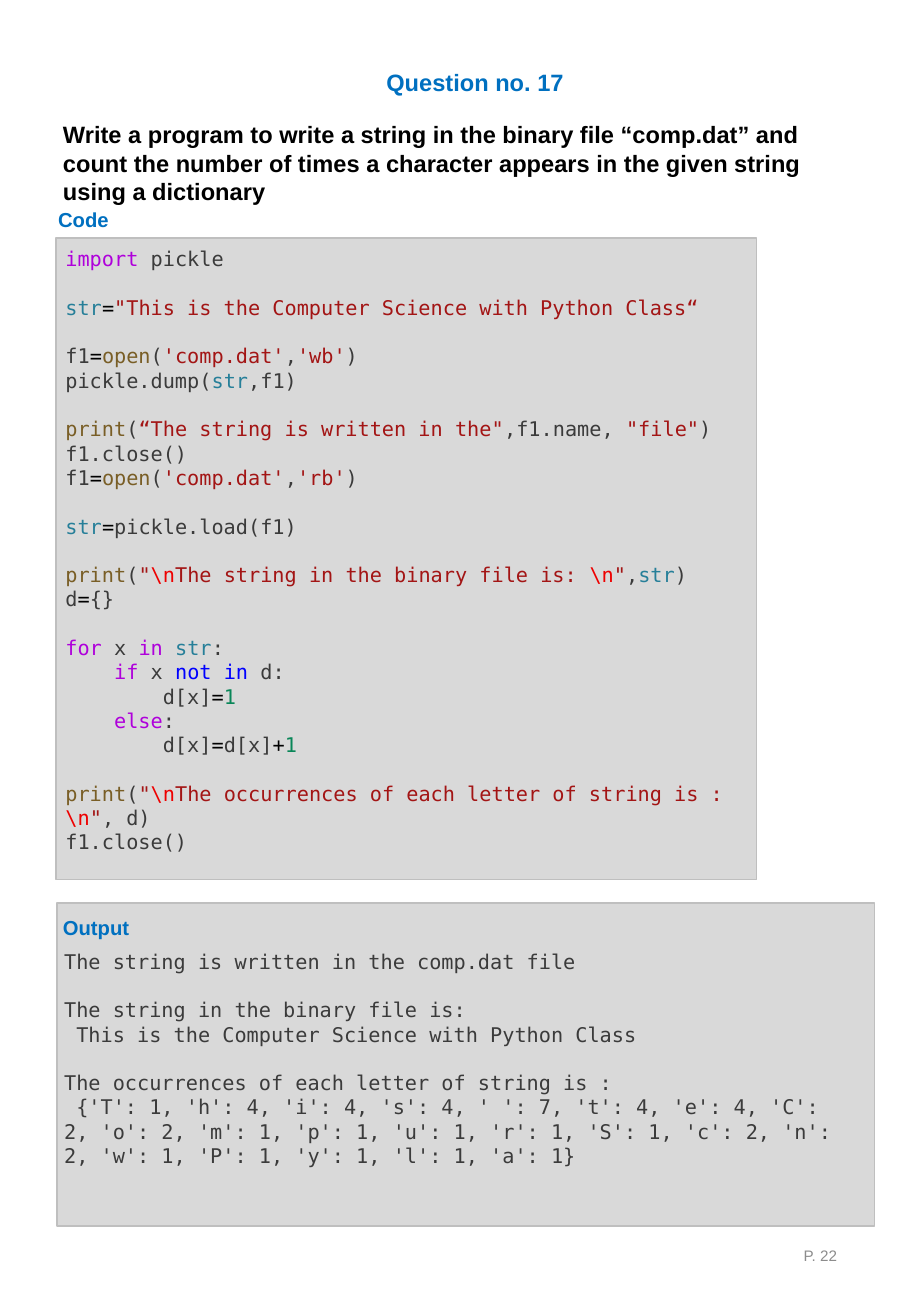
import dataclasses
import typing

import pptx
import pptx.dml.color
import pptx.enum.shapes
import pptx.enum.text
import pptx.util

PAGE_WIDTH = pptx.util.Inches(7.5)
PAGE_HEIGHT = pptx.util.Inches(10.83)
CODE_PITCH = 14.4

BLUE = "0070C0"
BLACK = "000000"
GREY = "8C8C8C"
PLAIN = "3B3B3B"
KEYWORD = "AF00DB"
OPERATOR = "0000FF"
NAME = "267F99"
CALL = "795E26"
STRING = "A31515"
ESCAPE = "EE0000"
NUMBER = "098658"


@dataclasses.dataclass(frozen=True)
class Area:
    left: float
    top: float
    width: float
    height: float

    def place(self) -> tuple[int, int, int, int]:
        return (
            int(PAGE_WIDTH * self.left / 100),
            int(PAGE_HEIGHT * self.top / 100),
            int(PAGE_WIDTH * self.width / 100),
            int(PAGE_HEIGHT * self.height / 100),
        )


@dataclasses.dataclass(frozen=True)
class Label:
    text: str
    area: Area
    size: int
    colour: str
    bold: bool = True


class Span(typing.NamedTuple):
    text: str
    colour: str = PLAIN


@dataclasses.dataclass(frozen=True)
class Line:
    spans: list[Span]
    gap: bool = False


def open_file(mode: str) -> list[Span]:
    return [
        Span("f1"), Span("=", BLACK), Span("open", CALL), Span("("),
        Span("'comp.dat'", STRING), Span(","), Span(mode, STRING), Span(")"),
    ]


def print_message(message: str) -> list[Span]:
    return [
        Span("print", CALL), Span("("), Span('"', STRING), Span("\\n", ESCAPE),
        Span(message, STRING), Span("\\n", ESCAPE), Span('"', STRING),
    ]


PANELS = [Area(6.13, 18.1, 76.93, 48.75), Area(6.27, 68.61, 89.73, 24.56)]

TITLE = Label("Question no. 17", Area(41.07, 4.71, 22.27, 3.14), 14, BLUE)
QUESTION = Label(
    "Write a program to write a string in the binary file “comp.dat” and count "
    "the number of times a character appears in the given string using a dictionary",
    Area(5.6, 8.68, 87.33, 7.48), 14, BLACK,
)
HEADINGS = [
    Label("Code", Area(5.07, 15.33, 23.33, 2.77), 12, BLUE),
    Label("Output", Area(5.6, 69.07, 23.33, 2.77), 12, BLUE),
]
PAGE_NUMBER = Label("P. 22", Area(70.67, 92.71, 22.53, 5.36), 9, GREY, False)

CODE_AREA = Area(5.87, 18.28, 79.07, 45.71)
CODE = [
    Line([Span("import", KEYWORD), Span(" pickle")]),
    Line([
        Span("str", NAME), Span("=", BLACK),
        Span('"This is the Computer Science with Python Class“', STRING),
    ], gap=True),
    Line(open_file("'wb'"), gap=True),
    Line([Span("pickle.dump("), Span("str", NAME), Span(",f1)")]),
    Line([
        Span("print", CALL), Span("("), Span('“The string is written in the"', STRING),
        Span(",f1.name, "), Span('"file"', STRING), Span(")"),
    ], gap=True),
    Line([Span("f1.close()")]),
    Line(open_file("'rb'")),
    Line([Span("str", NAME), Span("=", BLACK), Span("pickle.load(f1)")], gap=True),
    Line(
        print_message("The string in the binary file is: ")
        + [Span(","), Span("str", NAME), Span(")")],
        gap=True,
    ),
    Line([Span("d"), Span("=", BLACK), Span("{}")]),
    Line([
        Span("for", KEYWORD), Span(" x "), Span("in ", KEYWORD),
        Span("str", NAME), Span(":"),
    ], gap=True),
    Line([
        Span("    "), Span("if", KEYWORD), Span(" x "),
        Span("not in", OPERATOR), Span(" d:"),
    ]),
    Line([Span("        d[x]"), Span("=", BLACK), Span("1", NUMBER)]),
    Line([Span("    "), Span("else", KEYWORD), Span(":")]),
    Line([
        Span("        d[x]"), Span("=", BLACK), Span("d[x]"),
        Span("+", BLACK), Span("1", NUMBER),
    ]),
    Line(
        print_message("The occurrences of each letter of string is :") + [Span(", d)")],
        gap=True,
    ),
    Line([Span("f1.close()")]),
]

OUTPUT_AREA = Area(5.73, 71.65, 87.33, 17.73)
OUTPUT = [
    Line([Span("The string is written in the comp.dat file")]),
    Line([Span("The string in the binary file is:")], gap=True),
    Line([Span(" This is the Computer Science with Python Class")]),
    Line([Span("The occurrences of each letter of string is :")], gap=True),
    Line([Span(
        " {'T': 1, 'h': 4, 'i': 4, 's': 4, ' ': 7, 't': 4, 'e': 4, 'C': 2, 'o': 2, "
        "'m': 1, 'p': 1, 'u': 1, 'r': 1, 'S': 1, 'c': 2, 'n': 2, 'w': 1, 'P': 1, "
        "'y': 1, 'l': 1, 'a': 1}"
    )]),
]


def rgb(value: str) -> pptx.dml.color.RGBColor:
    return pptx.dml.color.RGBColor.from_string(value)


def draw_panel(page, area: Area) -> None:
    panel = page.shapes.add_shape(
        pptx.enum.shapes.MSO_SHAPE.RECTANGLE, *area.place()
    )
    panel.shadow.inherit = False
    panel.fill.solid()
    panel.fill.fore_color.rgb = rgb("D9D9D9")
    panel.line.color.rgb = rgb("BFBFBF")
    panel.line.width = pptx.util.Pt(1)


def style(span, face: str, size: int, colour: str, bold: bool = False) -> None:
    span.font.name = face
    span.font.size = pptx.util.Pt(size)
    span.font.bold = bold
    span.font.color.rgb = rgb(colour)


def write_label(box, label: Label, align=pptx.enum.text.PP_ALIGN.LEFT,
                anchor=pptx.enum.text.MSO_ANCHOR.TOP, wrap: bool = True) -> None:
    box.left, box.top, box.width, box.height = label.area.place()
    frame = box.text_frame
    frame.text = label.text
    frame.word_wrap = wrap
    frame.auto_size = pptx.enum.text.MSO_AUTO_SIZE.NONE
    frame.vertical_anchor = anchor
    para = frame.paragraphs[0]
    para.alignment = align
    style(para.runs[0], "Arial", label.size, label.colour, label.bold)


def write_listing(page, area: Area, lines: list[Line]) -> None:
    frame = page.shapes.add_textbox(*area.place()).text_frame
    frame.word_wrap = True
    for index, line in enumerate(lines):
        para = frame.add_paragraph() if index else frame.paragraphs[0]
        para.line_spacing = pptx.util.Pt(CODE_PITCH)
        if line.gap:
            para.space_before = pptx.util.Pt(CODE_PITCH)
        for part in line.spans:
            span = para.add_run()
            span.text = part.text
            style(span, "DejaVu Sans Mono", 12, part.colour)


def main() -> None:
    deck = pptx.Presentation()
    deck.slide_width, deck.slide_height = PAGE_WIDTH, PAGE_HEIGHT
    page = deck.slides.add_slide(deck.slide_layouts.get_by_name("Title Only"))
    write_label(page.shapes.title, TITLE, wrap=False)
    for area in PANELS:
        draw_panel(page, area)
    for label in [QUESTION, *HEADINGS]:
        write_label(page.shapes.add_textbox(*label.area.place()), label)
    write_label(
        page.shapes.add_textbox(*PAGE_NUMBER.area.place()), PAGE_NUMBER,
        pptx.enum.text.PP_ALIGN.RIGHT, pptx.enum.text.MSO_ANCHOR.MIDDLE,
    )
    write_listing(page, CODE_AREA, CODE)
    write_listing(page, OUTPUT_AREA, OUTPUT)
    deck.save("out.pptx")


if __name__ == "__main__":
    main()
